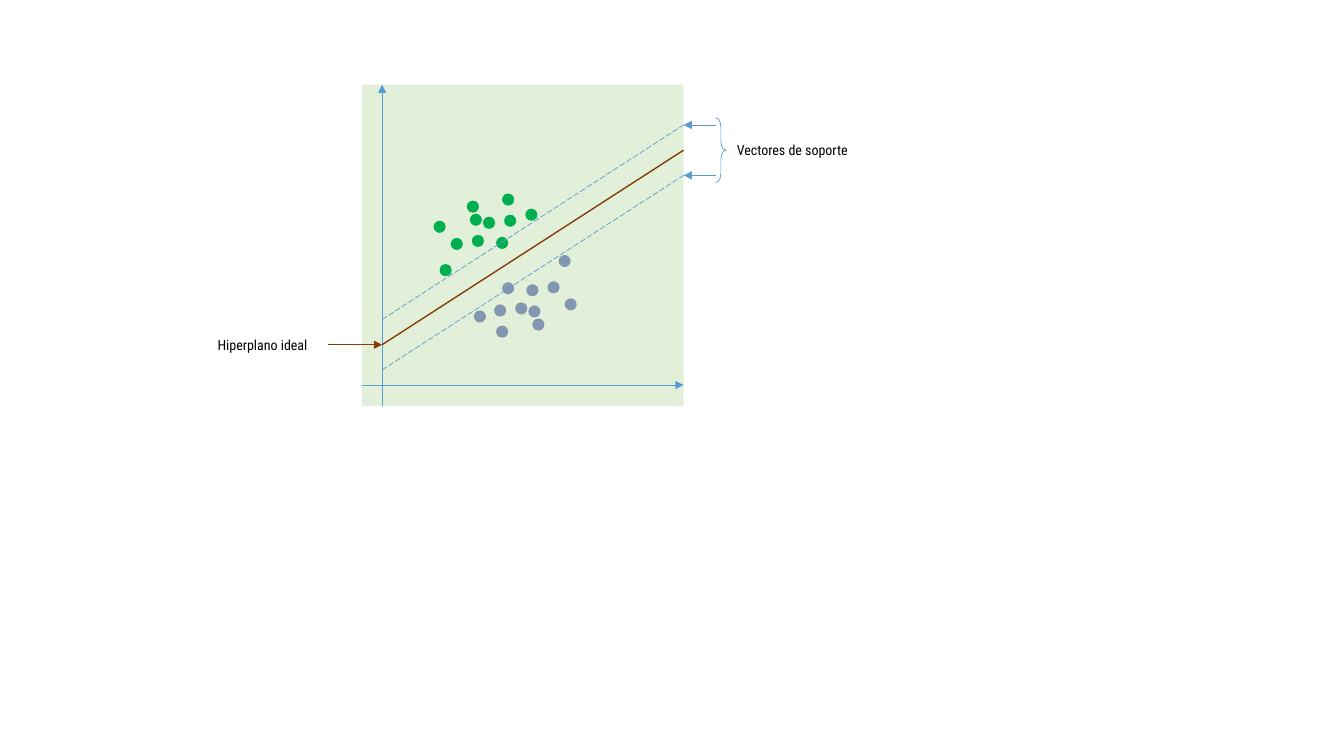
"""Build a slide showing a support vector machine with its ideal hyperplane."""
from typing import NamedTuple, Optional

from lxml import etree
from pptx import Presentation
from pptx.dml.color import RGBColor
from pptx.enum import dml, shapes, text
from pptx.oxml import ns
from pptx.util import Inches, Pt

PALE_GREEN = RGBColor(0xE2, 0xF0, 0xD9)
GREEN = RGBColor(0x00, 0xB0, 0x50)
SLATE = RGBColor(0x84, 0x97, 0xB0)
BLUE = RGBColor(0x5B, 0x9B, 0xD5)
BROWN = RGBColor(0x84, 0x3C, 0x0B)
BLACK = RGBColor(0x00, 0x00, 0x00)

FONT = "Roboto Condensed"
DOT_SIZE = 0.12
PLOT_LEFT, PLOT_TOP, PLOT_SIZE = 3.59, 0.84, 3.19
PLOT_RIGHT, PLOT_BOTTOM = PLOT_LEFT + PLOT_SIZE, PLOT_TOP + PLOT_SIZE
AXIS_X, AXIS_Y = 3.79, 3.82
PLANE_START, PLANE_END = 3.42, 1.49
MARGIN = 0.25
BRACE_LEFT = 7.1


class Line(NamedTuple):
    start: tuple[float, float]
    end: tuple[float, float]
    color: RGBColor = BLUE
    width: float = 0.5
    dash: Optional[dml.MSO_LINE] = None
    arrow: bool = False


class Cluster(NamedTuple):
    color: RGBColor
    points: list[tuple[float, float]]


class Label(NamedTuple):
    words: str
    left: float
    top: float
    width: float


CLUSTERS = [
    Cluster(GREEN, [(4.3, 2.19), (4.47, 2.36), (4.68, 2.33), (4.36, 2.62),
                    (4.92, 2.35), (4.66, 2.12), (4.63, 1.99), (4.79, 2.15),
                    (5, 2.13), (5.21, 2.07), (4.98, 1.92)]),
    Cluster(SLATE, [(5.6, 2.96), (5.43, 2.79), (5.22, 2.82), (5.54, 2.53),
                    (4.98, 2.8), (5.24, 3.03), (5.28, 3.16), (5.11, 3),
                    (4.9, 3.02), (4.7, 3.08), (4.92, 3.23)]),
]
AXES = [
    Line((AXIS_X, PLOT_BOTTOM), (AXIS_X, PLOT_TOP), arrow=True),
    Line((PLOT_LEFT, AXIS_Y), (PLOT_RIGHT, AXIS_Y), arrow=True),
]
SUPPORT_VECTORS = [
    Line((AXIS_X, PLANE_START + offset), (PLOT_RIGHT, PLANE_END + offset),
         dash=dml.MSO_LINE.LONG_DASH)
    for offset in (-MARGIN, MARGIN)
]
HYPERPLANE = Line((AXIS_X, PLANE_START), (PLOT_RIGHT, PLANE_END), BROWN, 1)
POINTERS = [
    Line((BRACE_LEFT, vector.end[1]), vector.end, arrow=True)
    for vector in SUPPORT_VECTORS
] + [Line((3.25, PLANE_START), HYPERPLANE.start, BROWN, arrow=True)]
LABELS = [
    Label("Vectores de soporte", 7.21, 1.35, 1.43),
    Label("Hiperplano ideal", 2.06, 3.29, 1.19),
]


def add_filled(parent, kind: shapes.MSO_SHAPE, left: float, top: float,
               size: float, color: RGBColor) -> None:
    """Add an unlined shape as wide as it is high."""
    shape = parent.add_shape(kind, Inches(left), Inches(top), Inches(size), Inches(size))
    shape.shadow.inherit = False
    shape.fill.solid()
    shape.fill.fore_color.rgb = color
    shape.line.fill.background()


def add_cluster(slide, cluster: Cluster) -> None:
    """Add one class of data points as a group."""
    group = slide.shapes.add_group_shape()
    for left, top in cluster.points:
        add_filled(group.shapes, shapes.MSO_SHAPE.OVAL, left, top, DOT_SIZE, cluster.color)


def add_line(slide, line: Line) -> None:
    """Add a straight connector, with an arrowhead at its end if asked."""
    ends = [Inches(value) for value in (*line.start, *line.end)]
    connector = slide.shapes.add_connector(shapes.MSO_CONNECTOR.STRAIGHT, *ends)
    connector.line.color.rgb = line.color
    connector.line.width = Pt(line.width)
    if line.dash is not None:
        connector.line.dash_style = line.dash
    if line.arrow:
        etree.SubElement(connector.line._get_or_add_ln(), ns.qn("a:tailEnd"), type="triangle")
    etree.SubElement(connector._element.spPr, ns.qn("a:effectLst"))


def add_brace(slide) -> None:
    """Add the brace that joins the two support vectors."""
    brace = slide.shapes.add_shape(shapes.MSO_SHAPE.RIGHT_BRACE, Inches(BRACE_LEFT),
                                   Inches(1.17), Inches(0.1), Inches(0.64))
    brace.adjustments[0] = 0.885
    brace.shadow.inherit = False
    brace.fill.background()
    brace.line.color.rgb = BLUE
    brace.line.width = Pt(0.5)


def add_label(slide, label: Label) -> None:
    """Add a one-line text box."""
    box = slide.shapes.add_textbox(Inches(label.left), Inches(label.top),
                                   Inches(label.width), Inches(0.27))
    frame = box.text_frame
    frame.word_wrap = False
    frame.auto_size = text.MSO_AUTO_SIZE.SHAPE_TO_FIT_TEXT
    run = frame.paragraphs[0].add_run()
    run.text = label.words
    run.font.name = FONT
    run.font.size = Pt(10)
    run.font.color.rgb = BLACK


def main() -> None:
    """Draw the plot and save the presentation."""
    presentation = Presentation()
    presentation.slide_width, presentation.slide_height = Inches(13.33), Inches(7.5)
    slide = presentation.slides.add_slide(presentation.slide_layouts[6])
    add_filled(slide.shapes, shapes.MSO_SHAPE.RECTANGLE, PLOT_LEFT, PLOT_TOP,
               PLOT_SIZE, PALE_GREEN)
    for axis in AXES:
        add_line(slide, axis)
    for cluster in CLUSTERS:
        add_cluster(slide, cluster)
    for line in (*SUPPORT_VECTORS, HYPERPLANE, *POINTERS):
        add_line(slide, line)
    add_brace(slide)
    for label in LABELS:
        add_label(slide, label)
    presentation.save("out.pptx")


main()
